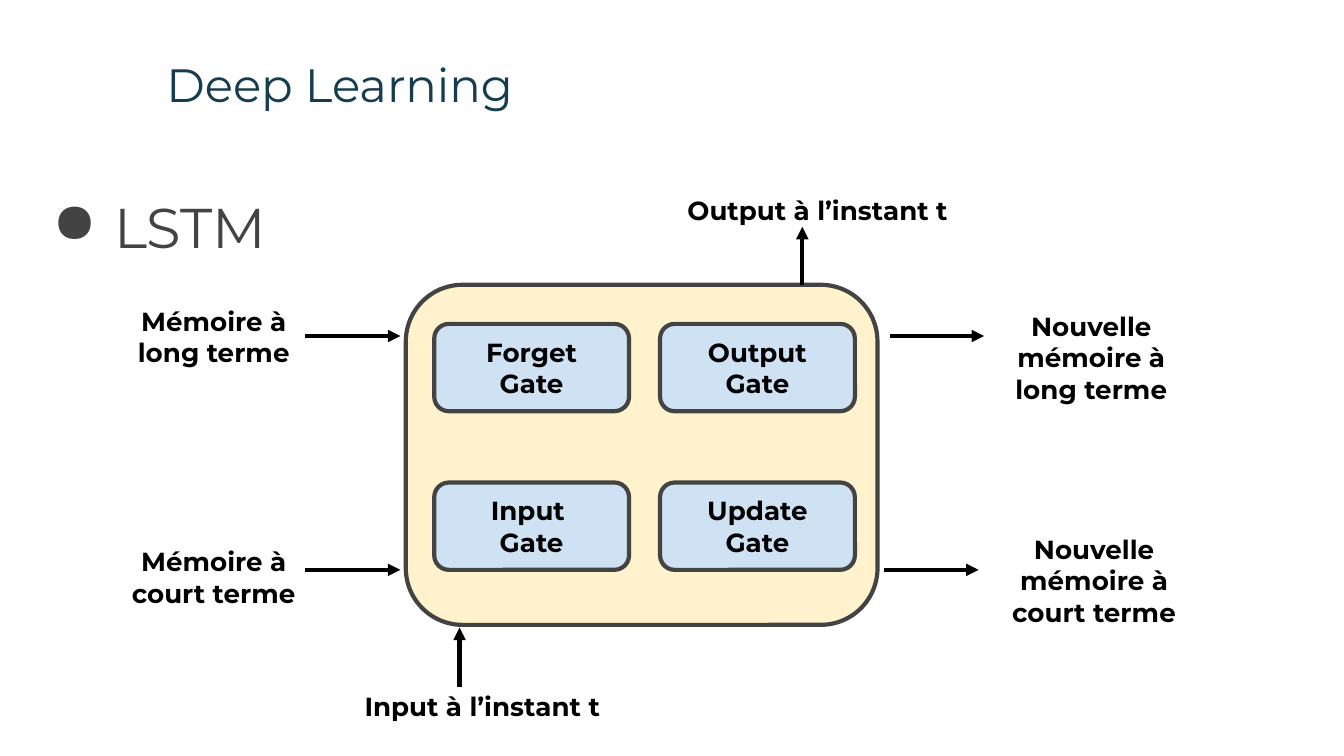
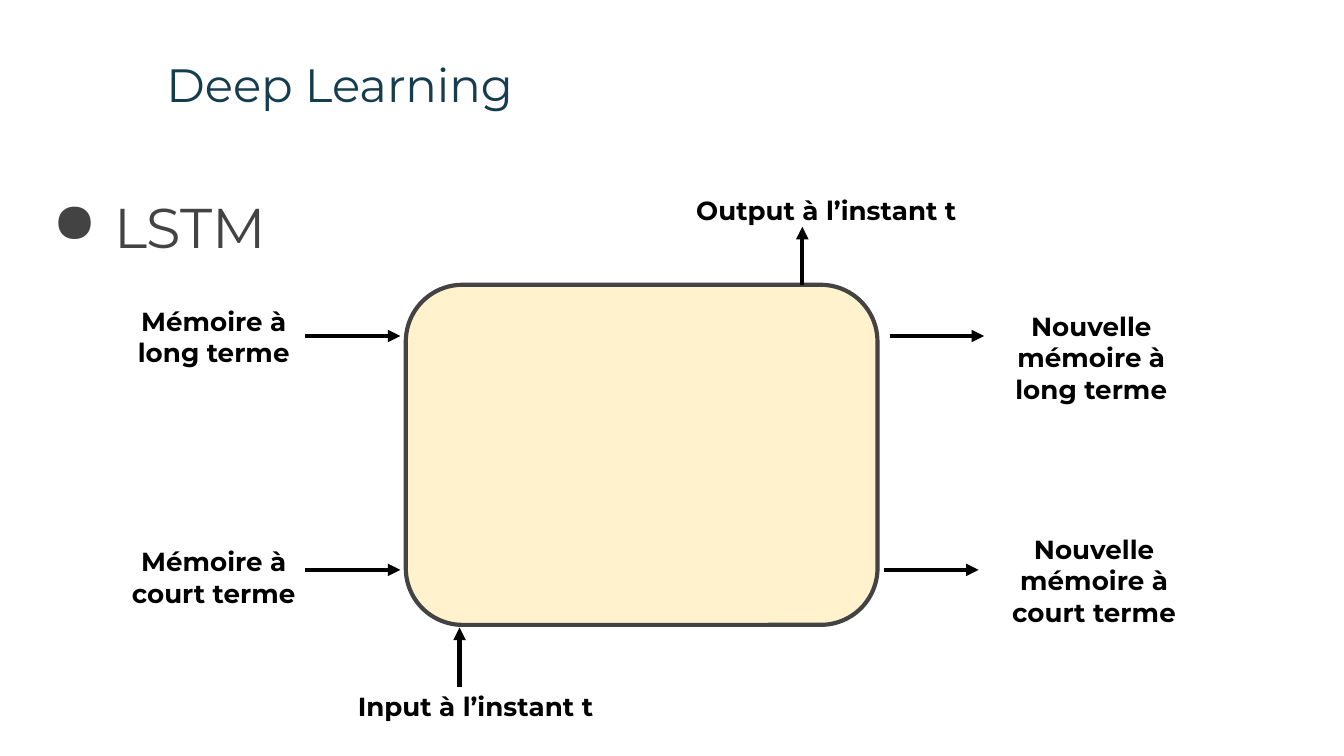
from lxml.etree import SubElement
from pptx import Presentation
from pptx.dml.color import RGBColor
from pptx.enum.shapes import MSO_CONNECTOR, MSO_SHAPE
from pptx.enum.text import MSO_ANCHOR, PP_ALIGN
from pptx.oxml.ns import qn
from pptx.util import Pt

FONT = "Montserrat"
COLOURS = {
    "title": "153C4F",
    "grey": "434343",
    "black": "000000",
    "cell": "FFF2CC",
    "gate": "CFE2F3",
}
INSET = 7.2
LINE_WIDTH = 2.25

CELL = (217.4, 152.6, 252.7, 182.2)
GATE_SIZE = (104.4, 46.8)
GATE_ORIGIN = (232.6, 173.5)
GATE_STEP = (121, 85)
GATES = [["Forget Gate", "Output Gate"], ["Input \nGate", "Update Gate"]]

LABEL_HEIGHT = 26.6
MEMORY_WIDTH = 123.8
MEMORY_LABELS = [
    ("Mémoire à long terme", 52.6, 156.2),
    ("Nouvelle mémoire à long terme", 522.7, 159.1),
    ("Mémoire à court terme", 52.6, 285.1),
    ("Nouvelle mémoire à court terme", 524.2, 278.6),
]
LONG_TERM_Y, SHORT_TERM_Y = 180, 305.3
ARROWS = [
    ((163.4, LONG_TERM_Y), (214.5, LONG_TERM_Y)),
    ((163.4, SHORT_TERM_Y), (214.5, SHORT_TERM_Y)),
    ((476.6, LONG_TERM_Y), (527.2, LONG_TERM_Y)),
    ((473.6, SHORT_TERM_Y), (524.3, SHORT_TERM_Y)),
    ((246.2, 367.9), (246.2, 336.2)),
    ((429.8, 152.6), (429.8, 121.5)),
]


def colour(name):
    return RGBColor.from_string(COLOURS[name])


def write(shape, text, size=14, ink="black", bold=False, align=PP_ALIGN.LEFT,
          anchor=MSO_ANCHOR.TOP, spacing=None, side_inset=INSET):
    frame = shape.text_frame
    frame.word_wrap = True
    frame.vertical_anchor = anchor
    frame.margin_left = frame.margin_right = Pt(side_inset)
    frame.margin_top = frame.margin_bottom = Pt(INSET)
    for index, line in enumerate(text.split("\n")):
        para = frame.paragraphs[0] if index == 0 else frame.add_paragraph()
        para.alignment = align
        if spacing:
            para.line_spacing = spacing
        span = para.add_run()
        span.text = line
        span.font.name = FONT
        span.font.size = Pt(size)
        span.font.bold = bold
        span.font.color.rgb = colour(ink)


def add_text(page, text, left, top, width, height, **style):
    box = page.shapes.add_textbox(Pt(left), Pt(top), Pt(width), Pt(height))
    write(box, text, **style)
    return box


def add_label(page, text, left, top, width):
    add_text(page, text, left, top, width, LABEL_HEIGHT, bold=True, align=PP_ALIGN.CENTER)


def add_bullet(para, ink, indent, hanging):
    properties = para._p.get_or_add_pPr()
    properties.set("marL", str(Pt(indent)))
    properties.set("indent", str(-Pt(hanging)))
    bullet_colour = SubElement(properties, qn("a:buClr"))
    SubElement(bullet_colour, qn("a:srgbClr")).set("val", COLOURS[ink])
    SubElement(properties, qn("a:buChar")).set("char", "●")


def add_rounded(page, left, top, width, height, fill):
    shape = page.shapes.add_shape(
        MSO_SHAPE.ROUNDED_RECTANGLE, Pt(left), Pt(top), Pt(width), Pt(height))
    shape.shadow.inherit = False
    shape.fill.solid()
    shape.fill.fore_color.rgb = colour(fill)
    shape.line.color.rgb = colour("grey")
    shape.line.width = Pt(LINE_WIDTH)
    return shape


def add_arrow(page, start, end):
    arrow = page.shapes.add_connector(
        MSO_CONNECTOR.STRAIGHT, *(Pt(value) for value in start + end))
    arrow.line.color.rgb = colour("black")
    arrow.line.width = Pt(LINE_WIDTH)
    SubElement(arrow.line._get_or_add_ln(), qn("a:tailEnd")).set("type", "triangle")
    SubElement(arrow._element.spPr, qn("a:effectLst"))


def add_gates(page):
    for row, names in enumerate(GATES):
        for column, name in enumerate(names):
            left = GATE_ORIGIN[0] + column * GATE_STEP[0]
            top = GATE_ORIGIN[1] + row * GATE_STEP[1]
            gate = add_rounded(page, left, top, *GATE_SIZE, fill="gate")
            write(gate, name, bold=True, align=PP_ALIGN.CENTER,
                  anchor=MSO_ANCHOR.MIDDLE, side_inset=8)


def add_lstm_page(deck, input_width, output_width):
    """Add the heading and the LSTM cell with its inputs and outputs."""
    page = deck.slides.add_slide(deck.slide_layouts[6])
    add_text(page, "Deep Learning", 82.1, 23, 613.4, 45.4, size=25, ink="title")
    topic = add_text(page, "LSTM", 18, 90.7, 702, 67.7, size=30, ink="grey", spacing=1.15)
    add_bullet(topic.text_frame.paragraphs[0], "grey", indent=36, hanging=33)
    add_rounded(page, *CELL, fill="cell")
    for start, end in ARROWS:
        add_arrow(page, start, end)
    for text, left, top in MEMORY_LABELS:
        add_label(page, text, left, top, MEMORY_WIDTH)
    add_label(page, "Input à l’instant t", 184.3, 362.9, input_width)
    add_label(page, "Output à l’instant t", 356.4, 97.2, output_width)
    return page


def main():
    deck = Presentation()
    deck.slide_width, deck.slide_height = Pt(720), Pt(405)
    add_gates(add_lstm_page(deck, input_width=148.3, output_width=163.4))
    add_lstm_page(deck, input_width=141.1, output_width=172.8)
    deck.save("out.pptx")


if __name__ == "__main__":
    main()
